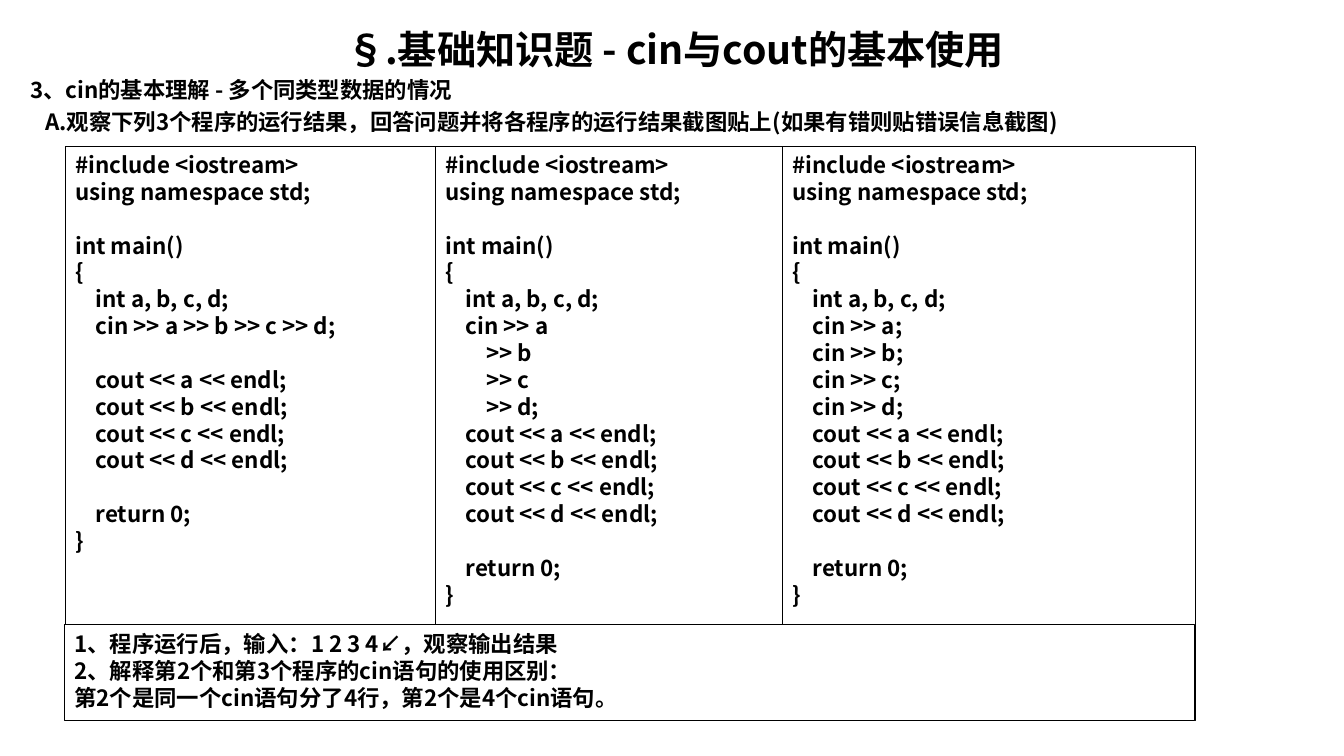
from lxml.etree import SubElement
from pptx import Presentation
from pptx.dml.color import RGBColor
from pptx.enum.shapes import MSO_SHAPE as Shape
from pptx.enum.text import MSO_ANCHOR as Anchor, PP_ALIGN as Align
from pptx.oxml.ns import qn
from pptx.util import Inches, Pt

BLACK = RGBColor(0, 0, 0)
WHITE = RGBColor(255, 255, 255)
FONT = "Noto Sans CJK SC"


def write_lines(frame, lines, size=16, before=0, align=Align.LEFT):
    for number, line in enumerate(lines):
        fresh = number == 0 and not frame.text
        paragraph = frame.paragraphs[0] if fresh else frame.add_paragraph()
        paragraph.text = line
        paragraph.alignment = align
        paragraph.line_spacing = Pt(size * 1.2)
        paragraph.space_before = Pt(before)
        font = paragraph.font
        font.name, font.size, font.bold = FONT, Pt(size), True
        font.color.rgb = BLACK
        defaults = paragraph._p.pPr.find(qn("a:defRPr"))
        SubElement(defaults, qn("a:ea"), typeface=FONT)


def add_panel(left, top, width, height, lines):
    panel = slide.shapes.add_shape(
        Shape.RECTANGLE, Inches(left), Inches(top), Inches(width), Inches(height))
    panel.shadow.inherit = False
    panel.fill.background()
    panel.line.color.rgb = BLACK
    panel.line.width = Pt(0.75)
    panel.text_frame.word_wrap = True
    panel.text_frame.vertical_anchor = Anchor.TOP
    write_lines(panel.text_frame, lines)
    return panel


deck = Presentation()
deck.slide_width, deck.slide_height = Inches(13.33), Inches(7.5)
slide = deck.slides.add_slide(deck.slide_layouts[6])

heading = slide.shapes.add_textbox(
    Inches(0.2), Inches(0.2), Inches(12.99), Inches(1.2)).text_frame
heading.word_wrap = True
write_lines(heading, ["§.基础知识题 - cin与cout的基本使用"], size=28, align=Align.CENTER)
write_lines(heading, [
    "3、cin的基本理解 - 多个同类型数据的情况",
    "A.观察下列3个程序的运行结果，回答问题并将各程序的运行结果截图贴上(如果有错则贴错误信息截图)",
], before=3.2)
task = heading.paragraphs[-1]._p.pPr
task.set("marL", str(Inches(0.15)))
task.set("indent", "0")

opening = ["#include <iostream>", "using namespace std;", "", "int main()", "{",
           "    int a, b, c, d;"]
outputs = [f"    cout << {name} << endl;" for name in "abcd"]
closing = ["", "    return 0;", "}"]
programs = [
    (3.67, ["    cin >> a >> b >> c >> d;", ""]),
    (3.44, ["    cin >> a", "        >> b", "        >> c", "        >> d;"]),
    (4.1, [f"    cin >> {name};" for name in "abcd"]),
]
left = 0.65
for width, inputs in programs:
    add_panel(left, 1.45, width, 5.7, opening + inputs + outputs + closing)
    left += width

questions = add_panel(0.64, 6.2, 11.21, 0.95, [
    "1、程序运行后，输入：1 2 3 4↙，观察输出结果",
    "2、解释第2个和第3个程序的cin语句的使用区别：",
    "第2个是同一个cin语句分了4行，第2个是4个cin语句。",
])
questions.fill.solid()
questions.fill.fore_color.rgb = WHITE

deck.save("out.pptx")
